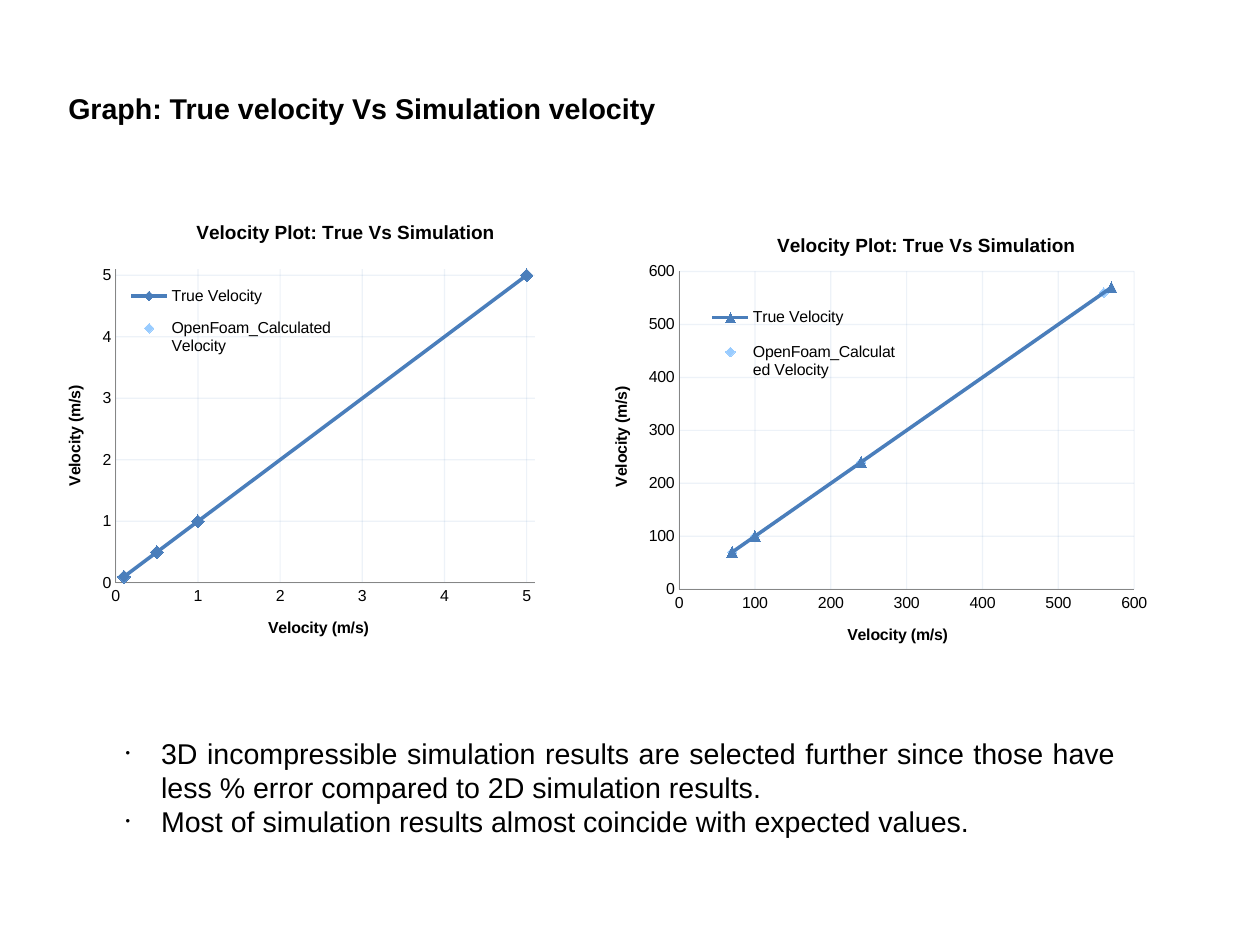
import pptx
import pptx.util
import pptx.chart.data
from lxml import etree
from pptx.dml.color import RGBColor
from pptx.enum.chart import XL_CHART_TYPE, XL_LEGEND_POSITION, XL_MARKER_STYLE, XL_TICK_MARK
from pptx.enum.text import MSO_ANCHOR, PP_ALIGN
from pptx.oxml.ns import qn

Pt = pptx.util.Pt
COLORS = {"text": "000000", "true": "4A7EBB", "simulated": "99CCFF",
          "grid": "4F81BD", "axis": "868686"}
RGB = {name: RGBColor.from_string(value) for name, value in COLORS.items()}


def place(element, percents):
    """Give a chart part a manual layout (x, y and maybe w, h) in percent of the chart."""
    old = element.find(qn("c:layout"))
    if old is not None:
        element.remove(old)
    layout = etree.Element(qn("c:layout"))
    manual = etree.SubElement(layout, qn("c:manualLayout"))
    is_plot = element.tag == qn("c:plotArea")
    if is_plot:
        etree.SubElement(manual, qn("c:layoutTarget")).set("val", "inner")
    for mode in ("xMode", "yMode"):
        etree.SubElement(manual, qn("c:" + mode)).set("val", "edge")
    for name, value in zip("xywh", percents):
        etree.SubElement(manual, qn("c:" + name)).set("val", f"{value / 100:.3f}")
    element.insert(0 if is_plot else 1, layout)


def add_run(p, text, size, bold=False):
    r = p.add_run()
    r.text = text
    r.font.name = "Arial"
    r.font.size = Pt(size)
    r.font.bold = bold
    r.font.color.rgb = RGB["text"]


prs = pptx.Presentation()
prs.slide_width, prs.slide_height = Pt(793.75), Pt(595.25)
s = prs.slides.add_slide(prs.slide_layouts[6])

# Text boxes
frames = []
for left, top, width, height in ((43, 39.6, 714.24, 57.6), (79.2, 453.6, 623.5, 84.24)):
    tf = s.shapes.add_textbox(Pt(left), Pt(top), Pt(width), Pt(height)).text_frame
    tf.word_wrap = True
    tf.vertical_anchor = MSO_ANCHOR.MIDDLE
    tf.margin_left = tf.margin_right = tf.margin_top = tf.margin_bottom = 0
    frames.append(tf)
heading, findings = frames
add_run(heading.paragraphs[0], "Graph: True velocity Vs Simulation velocity", 18, True)

bullets = [
    "3D incompressible simulation results are selected further since those have "
    "less % error compared to 2D simulation results.",
    "Most of simulation results almost coincide with expected values.",
]
for i, text in enumerate(bullets):
    p = findings.add_paragraph() if i else findings.paragraphs[0]
    p.alignment = PP_ALIGN.JUSTIFY
    add_run(p, text, 18)
    pPr = p._p.get_or_add_pPr()
    pPr.set("marL", str(Pt(22.3)))
    pPr.set("indent", str(-Pt(22.3)))
    color = etree.SubElement(pPr, qn("a:buClr"))
    etree.SubElement(color, qn("a:srgbClr")).set("val", COLORS["text"])
    etree.SubElement(pPr, qn("a:buSzPct")).set("val", "45000")
    etree.SubElement(pPr, qn("a:buFont")).set("typeface", "Arial")
    etree.SubElement(pPr, qn("a:buChar")).set("char", "•")

# Charts
DIAMOND, TRIANGLE = XL_MARKER_STYLE.DIAMOND, XL_MARKER_STYLE.TRIANGLE
charts = [
    dict(box=(18.72, 127.44, 398.88, 277.2), top=5.1, step=1,
         true=[0.1, 0.5, 1, 5], simulated=[0.1, 0.5, 1, 5],
         markers=[(DIAMOND, 8), (DIAMOND, 7)],
         plot=(13.6, 15.2, 66.2, 71.3), legend=(14.3, 16, 35, 22),
         title=(25.8, 3.3), x_title=(37.2, 93.6), y_title=(5, 41)),
    dict(box=(373.68, 135.36, 419.76, 295.2), top=600, step=100,
         true=[70, 100, 240, 570], simulated=[70, 100, 240, 560],
         markers=[(TRIANGLE, 7), (DIAMOND, 6)],
         plot=(12.9, 12.1, 68.3, 67.8), legend=(17.6, 16.5, 28, 22),
         title=(27.1, 3.3), x_title=(37.7, 86.7), y_title=(2.2, 36)),
]
for c in charts:
    data = pptx.chart.data.XyChartData(number_format="General")
    for name, key in (("True Velocity", "true"), ("OpenFoam_Calculated Velocity", "simulated")):
        series = data.add_series(name)
        for value in c[key]:
            series.add_data_point(value, value)
    chart = s.shapes.add_chart(XL_CHART_TYPE.XY_SCATTER_SMOOTH,
                               *[Pt(v) for v in c["box"]], data).chart
    chart.font.name = "Arial"
    chart.font.size = Pt(10)
    chart.font.color.rgb = RGB["text"]

    chart.has_title = True
    add_run(chart.chart_title.text_frame.paragraphs[0], "Velocity Plot: True Vs Simulation", 12, True)
    place(chart.chart_title._element, c["title"])

    chart.has_legend = True
    chart.legend.position = XL_LEGEND_POSITION.RIGHT
    chart.legend.include_in_layout = False
    place(chart.legend._element, c["legend"])
    place(chart._chartSpace.chart.plotArea, c["plot"])

    for axis, key in ((chart.category_axis, "x_title"), (chart.value_axis, "y_title")):
        axis.minimum_scale, axis.maximum_scale = 0, c["top"]
        axis.major_unit = c["step"]
        axis.major_tick_mark = axis.minor_tick_mark = XL_TICK_MARK.NONE
        axis.tick_labels.number_format = "General"
        axis.tick_labels.number_format_is_linked = False
        axis.format.line.color.rgb = RGB["axis"]
        axis.format.line.width = Pt(0.75)
        axis.has_major_gridlines = True
        grid = axis.major_gridlines.format.line
        grid.color.rgb = RGB["grid"]
        grid.width = Pt(0.75)
        grid_color = axis._element.find(qn("c:majorGridlines")).find(".//" + qn("a:srgbClr"))
        etree.SubElement(grid_color, qn("a:alpha")).set("val", "10000")
        axis.has_title = True
        add_run(axis.axis_title.text_frame.paragraphs[0], "Velocity (m/s)", 10, True)
        title = axis.axis_title._element
        if key == "y_title":
            body = title.find(".//" + qn("a:bodyPr"))
            body.set("rot", "-5400000")
            body.set("vert", "horz")
        place(title, c[key])

    plot = chart.plots[0]
    plot.vary_by_categories = False
    for series, (style, size), key in zip(plot.series, c["markers"], ("true", "simulated")):
        series.marker.style = style
        series.marker.size = size
        series.marker.format.fill.solid()
        series.marker.format.fill.fore_color.rgb = RGB[key]
        series.marker.format.line.color.rgb = RGB[key]
        if key == "true":
            series.format.line.color.rgb = RGB[key]
            series.format.line.width = Pt(2.25)
        else:
            series.format.line.fill.background()

prs.save("out.pptx")
